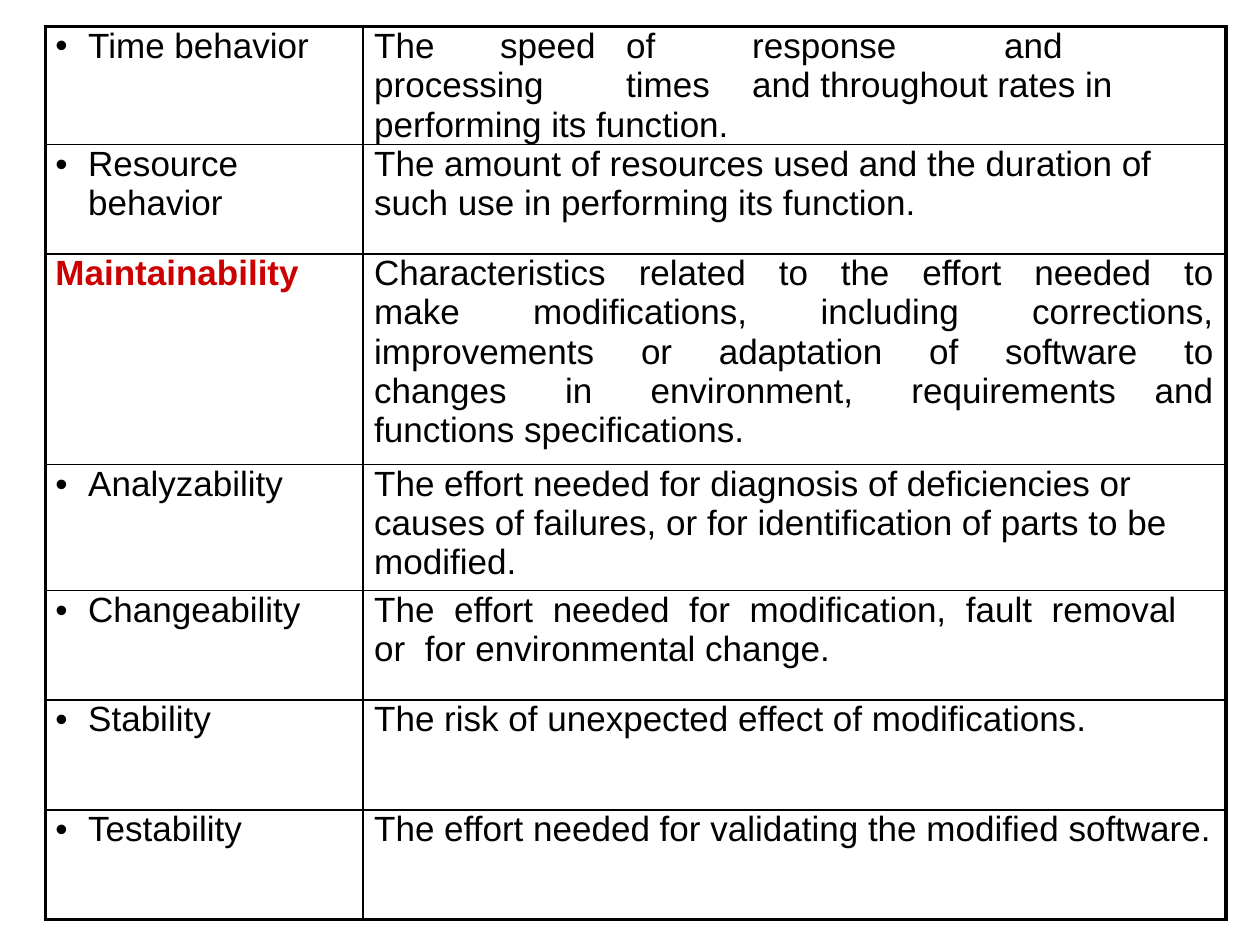
from lxml.etree import SubElement
from pptx import Presentation
from pptx.dml.color import RGBColor
from pptx.enum.text import PP_ALIGN
from pptx.oxml.ns import qn
from pptx.util import Inches, Pt

COLORS = {"text": "000000", "heading": "CC0000", "border": "000000"}
FONT = "Arial"
THICK, THIN = 2.25, 1
COLUMN_WIDTHS = [2.52, 6.85]
ROW_HEIGHTS = [0.87, 0.87, 1.67, 1, 0.87, 0.87, 0.87]

TERM = dict(left=0.34, indent=-0.26, bullet="•", tabs=[0.34])
HEADING = dict(left=0.08, color="heading", bold=True)

# Term, its format, definition, format of the definition
ROWS = [
    ("Time behavior", TERM,
     "The\tspeed\tof\tresponse\tand\tprocessing\ttimes\t"
     "and throughout rates in performing its function.",
     dict(line_spacing=1.01)),
    ("Resource behavior", TERM,
     "The amount of resources used and the duration of such use in "
     "performing its function.", {}),
    ("Maintainability", HEADING,
     "Characteristics related to the effort needed to make modifications, "
     "including corrections, improvements or adaptation of software to "
     "changes in environment, requirements and functions specifications.",
     dict(align=PP_ALIGN.JUSTIFY, margin_right=0.1, wide_gaps=20, gap=11.1)),
    ("Analyzability", TERM,
     "The effort needed for diagnosis of deficiencies or causes of failures, "
     "or for identification of parts to be modified.", {}),
    ("Changeability", TERM,
     "The effort needed for modification, fault removal or for "
     "environmental change.",
     dict(margin_right=0.2, wide_gaps=8, gap=5.55)),
    ("Stability", TERM,
     "The risk of unexpected effect of modifications.", {}),
    ("Testability", TERM,
     "The effort needed for validating the modified software.", {}),
]


def write_cell(cell, text, left=0.09, indent=0, bullet=None, tabs=(),
               color="text", bold=False, align=PP_ALIGN.LEFT,
               line_spacing=None, margin_right=0, wide_gaps=0, gap=0):
    """Write one paragraph; the first wide_gaps spaces are gap points wider."""
    cell.margin_left = cell.margin_top = cell.margin_bottom = 0
    cell.margin_right = Inches(margin_right)
    para = cell.text_frame.paragraphs[0]
    para.alignment = align
    properties = para._p.get_or_add_pPr()
    properties.set("marL", str(Inches(left)))
    properties.set("indent", str(Inches(indent)))
    properties.set("defTabSz", str(Inches(1)))
    if bullet:
        SubElement(properties, qn("a:buFont"), typeface=FONT)
        SubElement(properties, qn("a:buChar"), char=bullet)
    else:
        SubElement(properties, qn("a:buNone"))
    if tabs:
        tab_list = SubElement(properties, qn("a:tabLst"))
        for stop in tabs:
            SubElement(tab_list, qn("a:tab"), pos=str(Inches(stop)), algn="l")
    if line_spacing:
        para.line_spacing = line_spacing
    words = text.split(" ", wide_gaps) if wide_gaps else [text]
    pieces = [piece for word in words for piece in (" ", word)][1:]
    for piece in pieces:
        span = para.add_run()
        span.text = piece
        span.font.name = FONT
        span.font.size = Pt(20)
        span.font.bold = bold
        span.font.color.rgb = RGBColor.from_string(COLORS[color])
        if piece == " ":
            span._r.get_or_add_rPr().set("spc", str(round(gap * 100)))


def draw_borders(cell, widths):
    properties = cell._tc.get_or_add_tcPr()
    for side, width in widths.items():
        line = SubElement(properties, qn(f"a:ln{side}"), w=str(Pt(width)))
        fill = SubElement(line, qn("a:solidFill"))
        SubElement(fill, qn("a:srgbClr"), val=COLORS["border"])


def set_default_tabs(deck, distance):
    for root in (deck.element, deck.slide_master.element):
        for element in root.iter():
            if element.get("defTabSz"):
                element.set("defTabSz", str(distance))


def add_quality_table(page, left, top, width, height):
    shape = page.shapes.add_table(len(ROWS), len(COLUMN_WIDTHS),
                                  left, top, width, height)
    table = shape.table
    table.first_row = table.horz_banding = False
    for column, column_width in zip(table.columns, COLUMN_WIDTHS):
        column.width = Inches(column_width)
    last_row = len(ROWS) - 1
    for index, (term, term_format, definition, definition_format) in enumerate(ROWS):
        table.rows[index].height = Inches(ROW_HEIGHTS[index])
        contents = [(term, term_format), (definition, definition_format)]
        for column, (text, text_format) in enumerate(contents):
            cell = table.cell(index, column)
            write_cell(cell, text, **text_format)
            # Thick frame outside, thin rules inside
            draw_borders(cell, {
                "L": THICK if column == 0 else THIN,
                "R": THICK if column == 1 else THIN,
                "T": THICK if index == 0 else THIN,
                "B": THICK if index == last_row else THIN,
            })
            cell.fill.background()


def main():
    deck = Presentation()
    deck.slide_width, deck.slide_height = Inches(10), Inches(7.5)
    set_default_tabs(deck, Inches(1))
    page = deck.slides.add_slide(deck.slide_layouts[6])
    add_quality_table(page, Inches(0.36), Inches(0.21),
                      Inches(sum(COLUMN_WIDTHS)), Inches(sum(ROW_HEIGHTS)))
    deck.save("out.pptx")


if __name__ == "__main__":
    main()
